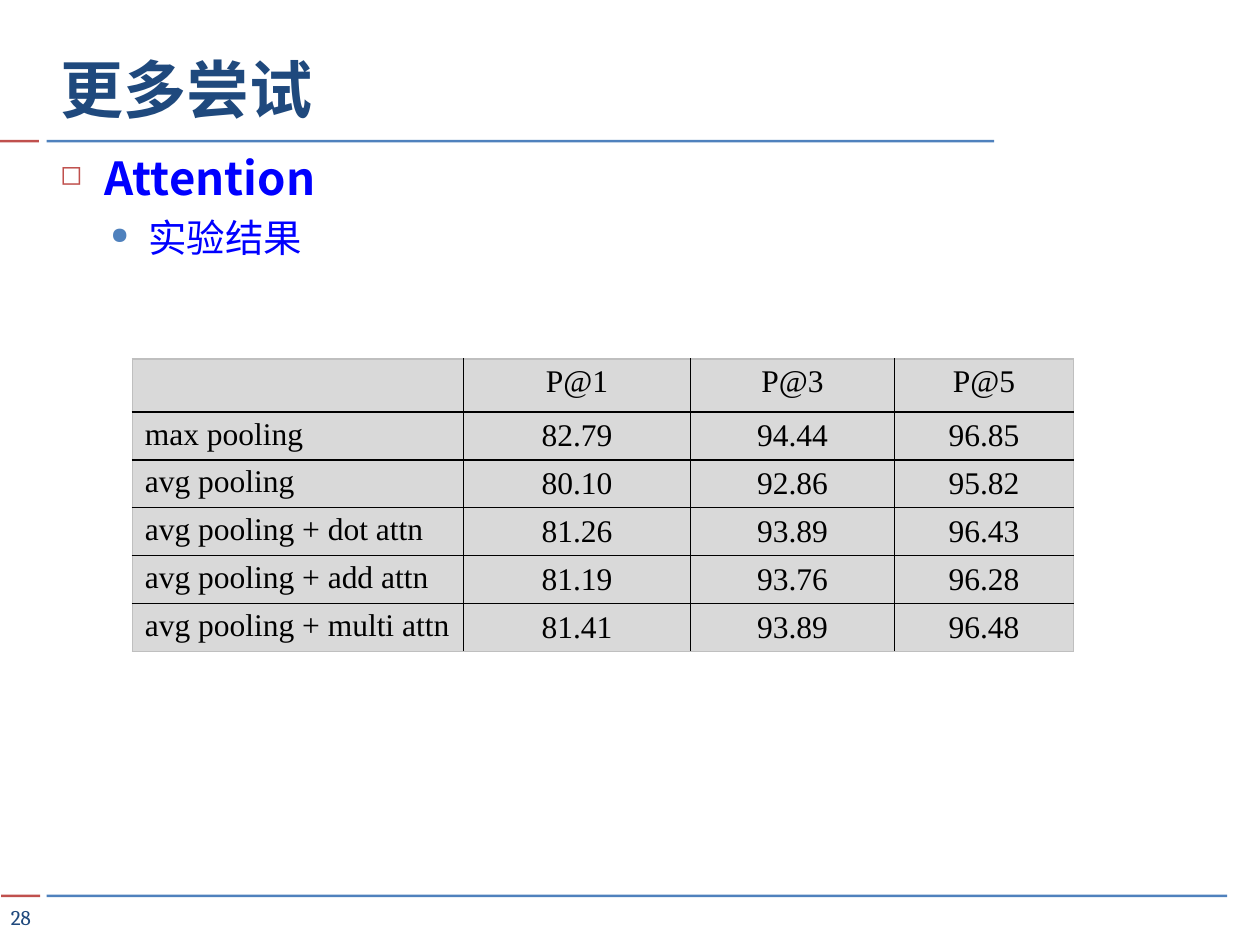
from pptx import Presentation
from pptx.dml.color import RGBColor
from pptx.enum.shapes import MSO_SHAPE as Shape
from pptx.enum.text import MSO_ANCHOR as Anchor, PP_ALIGN as Align
from pptx.oxml.ns import qn
from pptx.util import Inches, Pt
from lxml.etree import SubElement

RED, BLUE, NAVY = "C0504D", "4F81BD", "1F497D"
BODY_BLUE, BLACK, GRAY, EDGE = "0000FF", "000000", "D9D9D9", "BFBFBF"
SERIF, SANS, TIMES = "Cambria", "Noto Sans CJK SC", "Times New Roman"

RESULTS = [
    ("", "P@1", "P@3", "P@5"),
    ("max pooling", "82.79", "94.44", "96.85"),
    ("avg pooling", "80.10", "92.86", "95.82"),
    ("avg pooling + dot attn", "81.26", "93.89", "96.43"),
    ("avg pooling + add attn", "81.19", "93.76", "96.28"),
    ("avg pooling + multi attn", "81.41", "93.89", "96.48"),
]
COLUMN_WIDTHS = (2.63, 1.8, 1.62, 1.42)
HEADER_HEIGHT, ROW_HEIGHT = 0.42, 0.38


def rgb(value):
    return RGBColor.from_string(value)


def add_run(paragraph, text, size, font, color, bold=False):
    run = paragraph.add_run()
    run.text = text
    run.font.size, run.font.name, run.font.bold = Pt(size), font, bold
    run.font.color.rgb = rgb(color)
    SubElement(run.font._element, qn("a:ea"), typeface=SANS)


def add_rule(slide, left, top, width, color):
    rule = slide.shapes.add_shape(
        Shape.RECTANGLE, Inches(left), Inches(top), Inches(width), Inches(0.02))
    rule.shadow.inherit = False
    rule.fill.solid()
    rule.fill.fore_color.rgb = rgb(color)
    rule.line.fill.background()


def add_text_frame(slide, left, top, width, height):
    box = slide.shapes.add_textbox(
        Inches(left), Inches(top), Inches(width), Inches(height))
    box.text_frame.word_wrap = True
    return box.text_frame


def set_bullet(paragraph, symbol, color, margin, indent, level=0):
    paragraph.level = level
    props = paragraph._p.get_or_add_pPr()
    props.set("marL", str(Inches(margin)))
    props.set("indent", str(Inches(indent)))
    bullet_color = SubElement(props, qn("a:buClr"))
    SubElement(bullet_color, qn("a:srgbClr"), val=color)
    SubElement(props, qn("a:buSzPct"), val="60000")
    SubElement(props, qn("a:buChar"), char=symbol)


def set_borders(cell, colors):
    """Draw the left, right, top and bottom borders, in that order."""
    props = cell._tc.get_or_add_tcPr()
    for position, (side, color) in enumerate(zip("LRTB", colors)):
        line = props.makeelement(qn(f"a:ln{side}"), {"w": str(Pt(1))})
        fill = SubElement(line, qn("a:solidFill"))
        SubElement(fill, qn("a:srgbClr"), val=color)
        props.insert(position, line)


def add_title(slide):
    title = slide.shapes.title
    title.left, title.top = Inches(0.38), Inches(0.18)
    title.width, title.height = Inches(7.42), Inches(0.87)
    title.text_frame.vertical_anchor = Anchor.BOTTOM
    heading = title.text_frame.paragraphs[0]
    heading.alignment = Align.LEFT
    add_run(heading, "更多尝试", 36, SERIF, NAVY, bold=True)


def add_page_number(slide):
    frame = add_text_frame(slide, 0.02, 7.14, 0.29, 0.28)
    frame.margin_left = frame.margin_right = 0
    frame.margin_top = frame.margin_bottom = 0
    frame.vertical_anchor = Anchor.MIDDLE
    number = frame.paragraphs[0]
    number.alignment = Align.CENTER
    add_run(number, "28", 12, SERIF, NAVY)


def add_outline(slide):
    frame = add_text_frame(slide, 0.38, 1.14, 9.2, 1.7)
    topic = frame.paragraphs[0]
    topic.space_before = Pt(7)
    set_bullet(topic, "◻", RED, 0.35, -0.35)
    add_run(topic, "Attention", 26, SANS, BODY_BLUE, bold=True)
    detail = frame.add_paragraph()
    detail.space_before = Pt(5.5)
    set_bullet(detail, "●", BLUE, 0.7, -0.3, level=1)
    add_run(detail, "实验结果", 22, SERIF, BODY_BLUE)


def add_results(slide):
    last_row, last_col = len(RESULTS) - 1, len(COLUMN_WIDTHS) - 1
    height = HEADER_HEIGHT + ROW_HEIGHT * last_row
    table = slide.shapes.add_table(
        len(RESULTS), len(COLUMN_WIDTHS), Inches(1.05), Inches(2.85),
        Inches(sum(COLUMN_WIDTHS)), Inches(height)).table
    for column, width in zip(table.columns, COLUMN_WIDTHS):
        column.width = Inches(width)
    for r, values in enumerate(RESULTS):
        table.rows[r].height = Inches(ROW_HEIGHT if r else HEADER_HEIGHT)
        for c, value in enumerate(values):
            cell = table.cell(r, c)
            cell.fill.solid()
            cell.fill.fore_color.rgb = rgb(GRAY)
            cell.margin_top = cell.margin_bottom = Inches(0.04)
            cell.vertical_anchor = Anchor.MIDDLE if r and c else Anchor.TOP
            outer = (c == 0, c == last_col, r == 0, r == last_row)
            set_borders(cell, [EDGE if edge else BLACK for edge in outer])
            entry = cell.text_frame.paragraphs[0]
            entry.alignment = Align.CENTER if c else Align.LEFT
            if value:
                add_run(entry, value, 18, TIMES, BLACK)


def main():
    deck = Presentation()
    deck.slide_width, deck.slide_height = Inches(10), Inches(7.5)
    slide = deck.slides.add_slide(deck.slide_layouts[5])

    # Header and footer rules: a short red piece, then a long blue one
    for top, red_left, blue_width in ((1.11, 0, 7.52), (7.1, 0.01, 9.37)):
        add_rule(slide, red_left, top, 0.31, RED)
        add_rule(slide, 0.37, top, blue_width, BLUE)

    add_title(slide)
    add_page_number(slide)
    add_outline(slide)
    add_results(slide)
    deck.save("out.pptx")


if __name__ == "__main__":
    main()
